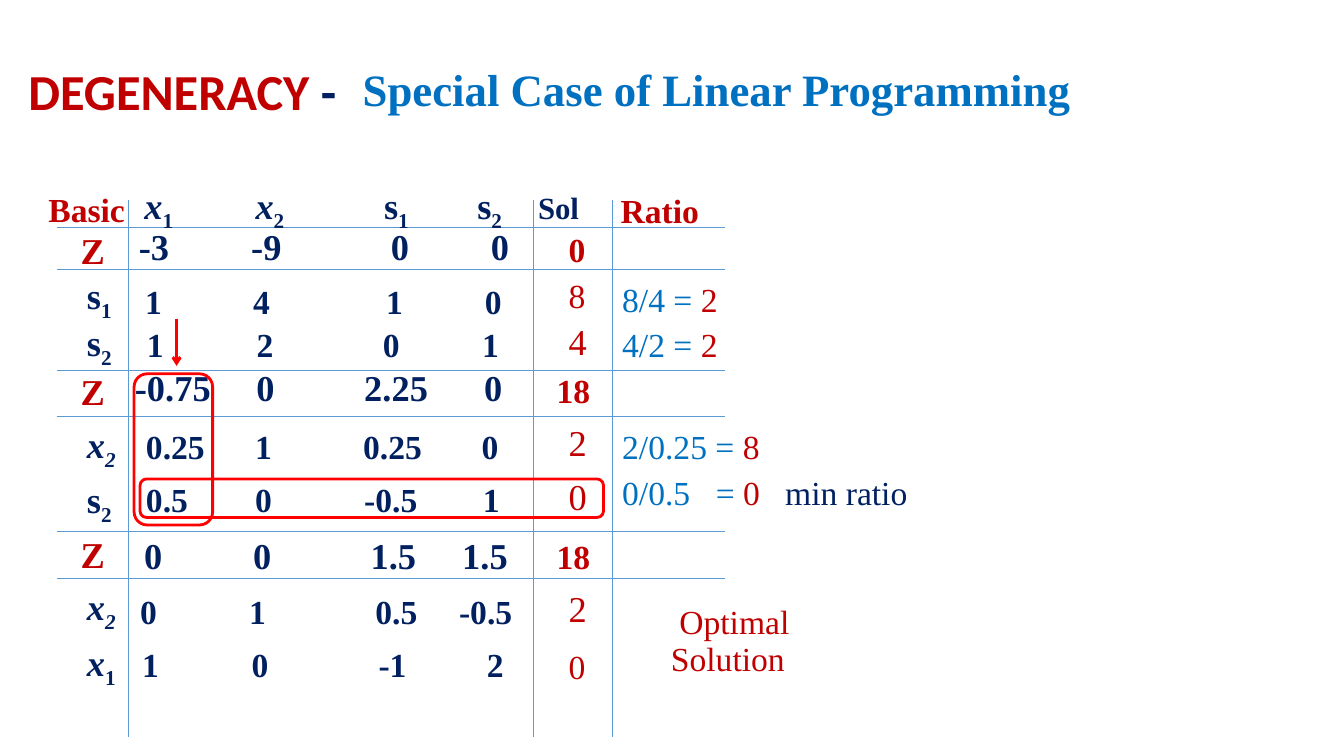
import pptx
import pptx.util
import pptx.dml.color
import pptx.enum.shapes
import pptx.enum.text
import pptx.oxml
import pptx.oxml.ns
import lxml.etree

Cm, Pt = pptx.util.Cm, pptx.util.Pt
RED, NAVY, BLUE = "C00000", "002060", "0070C0"
RULE, MARK = "5B9BD5", "FF0000"
SERIF = "Times New Roman"
INSET = 0.25

# Lengths in cm. label, top | values, left edges, size, top | solution, size, top
ROWS = [
    ("Z", 5.74, ["-3", "-9", "0", "0"], [3.5, 6.33, 9.85, 12.37], 26, 5.64, "0", 24, 5.77),
    ("s1", 6.78, ["1", "4", "1", "0"], [3.66, 6.38, 9.73, 12.22], 24, 7.06, "8", 24, 6.93),
    ("s2", 7.95, ["1", "2", "0", "1"], [3.7, 6.47, 9.65, 12.15], 24, 8.15, "4", 26, 8.03),
    ("Z", 9.3, ["-0.75", "0", "2.25", "0"], [3.4, 6.46, 9.18, 12.2], 26, 9.19, "18", 24, 9.32),
    ("x2", 10.52, ["0.25", "1", "0.25", "0"], [3.68, 6.43, 9.15, 12.14], 24, 10.72, "2", 26, 10.59),
    ("s2", 11.91, ["0.5", "0", "-0.5", "1"], [3.68, 6.43, 9.18, 12.17], 24, 12.07, "0", 26, 11.96),
    ("Z", 13.41, ["0", "0", "1.5", "1.5"], [3.63, 6.38, 9.34, 11.65], 26, 13.44, "18", 24, 13.49),
    ("x2", 14.6, ["0", "1", "0.5", "-0.5"], [3.53, 6.28, 9.46, 11.57], 24, 14.88, "2", 26, 14.78),
    ("x1", 16.03, ["1", "0", "-1", "2"], [3.58, 6.34, 9.54, 12.27], 24, 16.21, "0", 24, 16.26),
]
HEADS = ["x1", "x2", "s1", "s2"]
HEAD_X = [3.64, 6.44, 9.68, 12.03, 13.56]
RATIOS = [("8/4 = ", "2", 7.01), ("4/2 = ", "2", 8.15),
          ("2/0.25 = ", "8", 10.72), ("0/0.5\t= ", "0", 11.89)]
ACROSS = [5.74, 6.78, 9.32, 10.49, 13.39, 14.58]
DOWN = [3.24, 13.44, 15.44]
FRAMES = [(3.38, 9.42, 1.98, 3.81), (3.53, 12.07, 11.68, 0.97)]


def paint(text):
    return pptx.dml.color.RGBColor.from_string(text)


def fill(frame, text, size=24, color=NAVY, bold=False, font=SERIF, before=5,
         anchor="TOP", tabs=(), indent=0):
    """Write a string, or a list of (string, format) runs, into a text frame."""
    frame.word_wrap = True
    frame.auto_size = pptx.enum.text.MSO_AUTO_SIZE.NONE
    frame.vertical_anchor = pptx.enum.text.MSO_ANCHOR[anchor]
    para = frame.paragraphs[0]
    para.alignment = pptx.enum.text.PP_ALIGN.LEFT
    para.line_spacing, para.space_before = 0.9, Pt(before)
    props = para._p.get_or_add_pPr()
    if indent:
        props.set("indent", str(Cm(indent)))
    if tabs:
        stops = lxml.etree.SubElement(props, pptx.oxml.ns.qn("a:tabLst"))
        for tab in tabs:
            lxml.etree.SubElement(stops, pptx.oxml.ns.qn("a:tab"),
                                  pos=str(Cm(tab)), algn="l")
    for part, look in [(text, {})] if isinstance(text, str) else text:
        run = para.add_run()
        run.text = part
        run.font.name, run.font.bold = font, bold
        run.font.size = Pt(look.get("size", size))
        run.font.color.rgb = paint(look.get("color", color))
        run.font.italic = look.get("italic", False)
        if look.get("sub"):
            run.font._element.set("baseline", "-25000")


def put(slide, text, x, y, w, h=1.1, **look):
    box = slide.shapes.add_textbox(Cm(x), Cm(y), Cm(w), Cm(h))
    fill(box.text_frame, text, **look)


def var(name, slant=False):
    """Runs for a variable with its index lowered."""
    return [(name[0], {"italic": name[0] == "x"}),
            (name[1], {"sub": True, "italic": slant})]


def stops(edges):
    return [edge - edges[0] for edge in edges[1:]]


def line(slide, x1, y1, x2, y2, color=RULE, width=0.5, arrow=False):
    link = slide.shapes.add_connector(pptx.enum.shapes.MSO_CONNECTOR.STRAIGHT,
                                      Cm(x1), Cm(y1), Cm(x2), Cm(y2))
    link.line.color.rgb, link.line.width = paint(color), Pt(width)
    if arrow:
        lxml.etree.SubElement(link.line._get_or_add_ln(),
                              pptx.oxml.ns.qn("a:tailEnd"), type="arrow")
    lxml.etree.SubElement(link._element.spPr, pptx.oxml.ns.qn("a:effectLst"))


def main():
    deck = pptx.Presentation()
    deck.slide_width, deck.slide_height = Cm(33.87), Cm(19.05)
    slide = deck.slides.add_slide(deck.slide_layouts[5])

    title = slide.shapes.title
    title.left, title.top, title.width, title.height = Cm(0.46), Cm(1.4), Cm(8.46), Cm(1.78)
    fill(title.text_frame, [("DEGENERACY ", {"color": RED}), ("-", {})],
         size=36, bold=True, font="Calibri", before=0, anchor="BOTTOM")
    put(slide, "Special Case of Linear Programming", 8.89, 1.27, 22.33, 1.78,
        size=32, color=BLUE, bold=True, before=0, anchor="BOTTOM")

    for y in ACROSS:
        line(slide, 1.43, y, 18.27, y)
    for x in DOWN:
        line(slide, x, 5.04, x, 18.57)

    put(slide, "Basic", 0.97, 4.75, 2.57, color=RED, bold=True)
    put(slide, "Ratio", 15.39, 4.78, 2.57, color=RED, bold=True)
    heads = []
    for name in HEADS:
        heads += var(name) + [("\t", {})]
    put(slide, heads + [("Sol", {"size": 22})], HEAD_X[0] - INSET, 4.5, 13,
        size=26, bold=True, tabs=stops(HEAD_X))

    for name, top, cells, edges, size, mid, sol, big, low in ROWS:
        goal = name == "Z"
        put(slide, name if goal else var(name, name == "x2"),
            1.78 if goal else 1.94, top, 1.5, size=26, bold=True,
            color=RED if goal else NAVY)
        put(slide, "\t".join(cells), edges[0] - INSET, mid, 10.6, size=size,
            bold=True, tabs=stops(edges))
        put(slide, sol, 13.78 if len(sol) > 1 else 14.08, low, 1.8, size=big,
            color=RED, bold=goal)

    for sum_, value, y in RATIOS:
        put(slide, [(sum_, {"color": BLUE}), (value, {"color": RED})],
            15.43, y, 4.3, tabs=[2.36])
    put(slide, "min ratio", 19.54, 11.89, 5.3)
    put(slide, "Optimal Solution", 16.66, 15.14, 5.54, 2.13, color=RED, indent=0.21)

    line(slide, 4.45, 8.03, 4.45, 9.22, color=MARK, width=2, arrow=True)
    for spot in FRAMES:
        frame = slide.shapes.add_shape(pptx.enum.shapes.MSO_SHAPE.ROUNDED_RECTANGLE,
                                       *map(Cm, spot))
        frame.shadow.inherit = False
        frame.fill.background()
        frame.line.color.rgb, frame.line.width = paint(MARK), Pt(2)

    deck.save("out.pptx")


if __name__ == "__main__":
    main()
